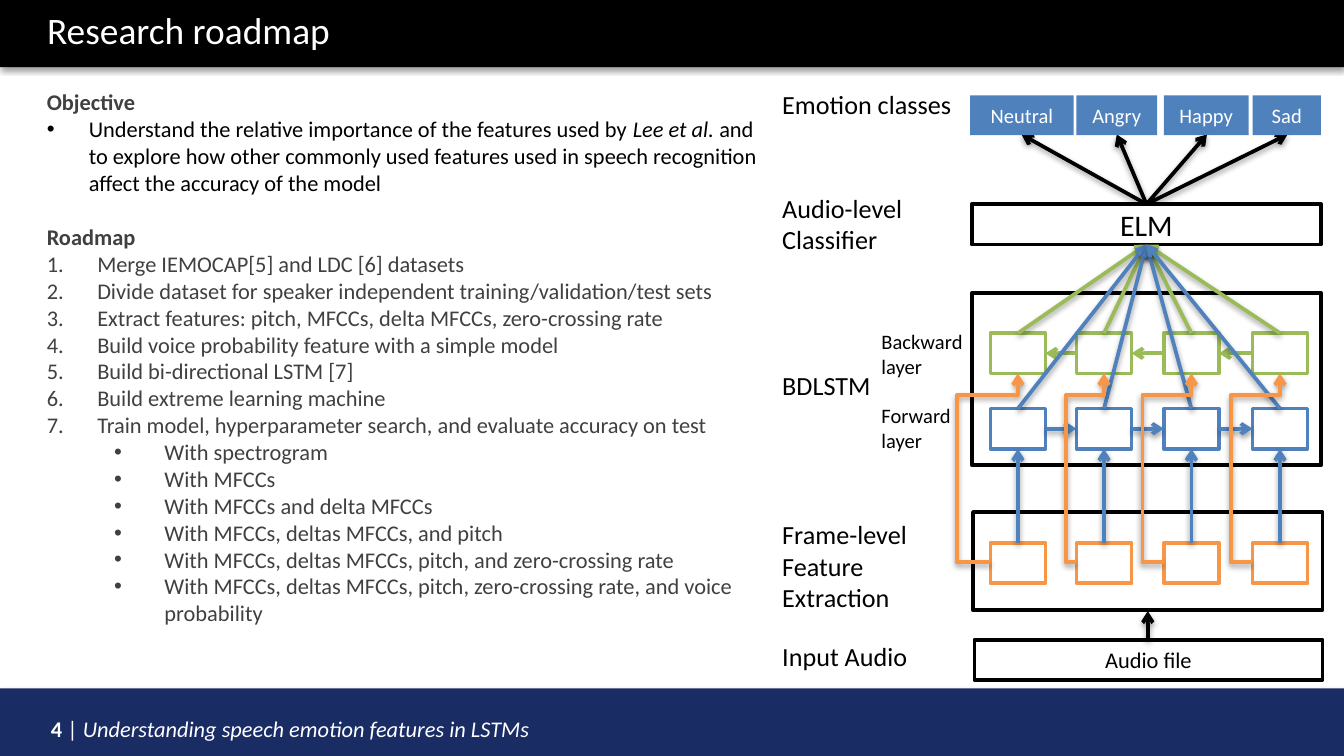
from pptx import Presentation
from pptx.dml.color import RGBColor
from pptx.enum.shapes import MSO_CONNECTOR, MSO_SHAPE
from pptx.enum.text import MSO_ANCHOR, MSO_AUTO_SIZE, PP_ALIGN
from pptx.oxml import parse_xml
from pptx.oxml.ns import nsdecls, qn
from pptx.oxml.xmlchemy import OxmlElement
from pptx.util import Pt

BLACK, WHITE, GRAY, NAVY = "000000", "FFFFFF", "404040", "1A2C64"
BLUE, GREEN, ORANGE = "4F81BD", "9BBB59", "F79646"
SHADOW = (f'<a:outerShdw {nsdecls("a")} blurRad="40000" dist="20000" dir="5400000" '
          'rotWithShape="0"><a:srgbClr val="000000"><a:alpha val="38000"/>'
          '</a:srgbClr></a:outerShdw>')


def write(p, text, color, size, **fmt):
    """Add a formatted run to a paragraph."""
    r = p.add_run()
    r.text = text
    r.font.color.rgb = RGBColor.from_string(color)
    for name, value in {"name": "Calibri", "size": Pt(size), **fmt}.items():
        setattr(r.font, name, value)


def link(x1, y1, x2, y2, color, shadow=True, via=None):
    """Draw an arrow; via gives the x and y of the two bends of an elbow."""
    kind = MSO_CONNECTOR.ELBOW if via else MSO_CONNECTOR.STRAIGHT
    c = s.shapes.add_connector(kind, Pt(x1), Pt(y1), Pt(x2), Pt(y2))
    c.line.width = Pt(2)
    c.line.color.rgb = RGBColor.from_string(color)
    spPr = c._element.spPr
    tail = OxmlElement("a:tailEnd")
    tail.set("type", "arrow")
    spPr.find(qn("a:ln")).append(tail)
    effects = OxmlElement("a:effectLst")
    if shadow:
        effects.append(parse_xml(SHADOW))
    spPr.append(effects)
    if via:
        geom = spPr.find(qn("a:prstGeom"))
        geom.set("prst", "bentConnector4")
        guides = geom.get_or_add_avLst()
        ratios = (via[0] - x1) / (x2 - x1), (via[1] - y1) / (y2 - y1)
        for name, ratio in zip(("adj1", "adj2"), ratios):
            gd = OxmlElement("a:gd")
            gd.set("name", name)
            gd.set("fmla", f"val {round(ratio * 100000)}")
            guides.append(gd)


prs = Presentation()
prs.slide_width, prs.slide_height = Pt(720), Pt(405)
s = prs.slides.add_slide(prs.slide_layouts[5])

# Network geometry
cell_x = [530.6, 576.7, 623.5, 671]
cell_w, cell_h = 29.5, 21.6
backward_y, forward_y, feature_y = 178.5, 218.9, 290.9
elm_x, elm_top, elm_bottom = 614.2, 109.4, 131

# Arrows from the classifier to the classes lie behind the boxes
for x in (689.8, 646.6, 598.3, 547.2):
    link(elm_x, elm_top, x, 72, BLACK)

# Boxes: left, top, width, height, fill, line, text, text size, text colour
boxes = [
    (0, 0, 720, 36, BLACK, None, "", 0, None),
    (0, 368.8, 720, 36.2, NAVY, None, "", 0, None),
    (521.3, 274.3, 187.2, 52.6, WHITE, BLACK, "", 0, None),
    (520.6, 157, 187.2, 92.2, WHITE, BLACK, "", 0, None),
    (520.6, elm_top, 187.2, 21.6, WHITE, BLACK, "ELM", 16, BLACK),
    (522, 342.7, 186.5, 21.6, WHITE, BLACK, "Audio file", 12, BLACK),
]
for y, color in ((forward_y, BLUE), (backward_y, GREEN), (feature_y, ORANGE)):
    boxes += [(x, y, cell_w, cell_h, WHITE, color, "", 0, None) for x in cell_x]
for x, w, text in ((519.8, 55.4, "Neutral"), (576.7, 43.2, "Angry"),
                   (623.5, 45.4, "Happy"), (671, 36.7, "Sad")):
    boxes.append((x, 51.1, w, 21.3, BLUE, None, text, 11, WHITE))

for x, y, w, h, fill, line, text, size, color in boxes:
    sp = s.shapes.add_shape(MSO_SHAPE.RECTANGLE, Pt(x), Pt(y), Pt(w), Pt(h))
    sp.shadow.inherit = False
    sp.fill.solid()
    sp.fill.fore_color.rgb = RGBColor.from_string(fill)
    if line:
        sp.line.width = Pt(2)
        sp.line.color.rgb = RGBColor.from_string(line)
    else:
        sp.line.fill.background()
    if text:
        p = sp.text_frame.paragraphs[0]
        p.alignment = PP_ALIGN.CENTER
        write(p, text, color, size)
    if w == 720:
        sp._element.spPr.find(qn("a:effectLst")).append(parse_xml(SHADOW))

# Arrows of the network
centers = [x + cell_w / 2 for x in cell_x]
for left, right in zip(cell_x, cell_x[1:]):
    link(left + cell_w, forward_y + 10.8, right, forward_y + 10.8, BLUE)
    link(right, backward_y + 10.8, left + cell_w, backward_y + 10.8, GREEN, shadow=False)
for y, color in ((backward_y, GREEN), (forward_y, BLUE)):
    for x in centers:
        link(x, y, elm_x, elm_bottom, color)
for x, center, bend in zip(cell_x, centers, (512.6, 571, 612, 659.5)):
    link(center, feature_y, center, forward_y + cell_h, BLUE)
    link(x, feature_y + 10.4, center, backward_y + cell_h, ORANGE, via=(bend, 211.7))
link(614.9, 342.7, 614.9, 327.4, BLACK)

# Title, above its bar
title = s.shapes.title
s.shapes[-1]._element.addnext(title._element)
title.left, title.top, title.width, title.height = Pt(18), Pt(0), Pt(690), Pt(31.5)
tf = title.text_frame
tf.auto_size = MSO_AUTO_SIZE.NONE
tf.vertical_anchor = MSO_ANCHOR.TOP
tf.paragraphs[0].alignment = PP_ALIGN.LEFT
write(tf.paragraphs[0], "Research roadmap", WHITE, 20)

# Text boxes: left, top, width, height, then paragraphs of (text, colour, size, format) runs
labels = [
    (412, 43.9, 119.5, 24.5, 14, ["Emotion classes"]),
    (412, 99.4, 119.5, 41, 14, ["Audio-level Classifier"]),
    (412, 194.4, 98.6, 24.5, 14, ["BDLSTM"]),
    (412, 274.3, 124.6, 58.3, 14, ["Frame-level Feature", "Extraction"]),
    (412, 339.8, 124.6, 24.5, 14, ["Input Audio"]),
    (465.1, 172.8, 58.3, 33.8, 11, ["Backward layer"]),
    (465.1, 212.4, 67.7, 33.8, 11, ["Forward layer"]),
]
texts = [(x, y, w, h, [[(t, BLACK, size, {})] for t in lines])
         for x, y, w, h, size, lines in labels]
texts.append((20.2, 370.1, 534.2, 30.2, [[
    ("4 ", WHITE, 12, {"bold": True}),
    ("| ", WHITE, 12, {}),
    ("Understanding speech emotion features in LSTMs", WHITE, 12, {"italic": True}),
]]))
steps = [
    "Merge IEMOCAP[5] and LDC [6] datasets",
    "Divide dataset for speaker independent training/validation/test sets",
    "Extract features: pitch, MFCCs, delta MFCCs, zero-crossing rate",
    "Build voice probability feature with a simple model",
    "Build bi-directional LSTM [7]",
    "Build extreme learning machine",
    "Train model, hyperparameter search, and evaluate accuracy on test",
]
tests = [
    "With spectrogram",
    "With MFCCs",
    "With MFCCs and delta MFCCs",
    "With MFCCs, deltas MFCCs, and pitch",
    "With MFCCs, deltas MFCCs, pitch, and zero-crossing rate",
    "With MFCCs, deltas MFCCs, pitch, zero-crossing rate, and voice probability",
]
body = [
    [("Objective", GRAY, 12, {"bold": True})],
    [("Understand the relative importance of the features used by", BLACK, 12, {}),
     (" Lee et al. ", BLACK, 12, {"italic": True}),
     ("and to explore how other commonly used features used in speech recognition "
      "affect the accuracy of the model", BLACK, 12, {})],
    [("Roadmap", GRAY, 12, {"bold": True})],
] + [[(t, GRAY, 12, {})] for t in steps + tests]
texts.append((18, 43.9, 401.8, 342, body))

for x, y, w, h, paragraphs in texts:
    tf = s.shapes.add_textbox(Pt(x), Pt(y), Pt(w), Pt(h)).text_frame
    tf.word_wrap = True
    for i, runs in enumerate(paragraphs):
        p = tf.add_paragraph() if i else tf.paragraphs[0]
        for text, color, size, fmt in runs:
            write(p, text, color, size, **fmt)
    if paragraphs[0][0][0] == "4 ":
        p.line_spacing = Pt(24)

# Bullets and numbers of the body, the last text box
ps = tf.paragraphs
ps[2].space_before = Pt(14.5)
lists = [(ps[1:2], 0, 22.5, 22.5, "•"), (ps[3:10], 0, 27, 27, None), (ps[10:], 1, 63, 27, "•")]
for items, level, margin, hanging, char in lists:
    for p in items:
        p.level = level
        pPr = p._p.get_or_add_pPr()
        pPr.set("marL", str(Pt(margin)))
        pPr.set("indent", str(-Pt(hanging)))
        if char:
            font = OxmlElement("a:buFont")
            font.set("typeface", "Arial")
            pPr.append(font)
        bullet = OxmlElement("a:buChar" if char else "a:buAutoNum")
        bullet.set("char" if char else "type", char or "arabicPeriod")
        pPr.append(bullet)

prs.save("out.pptx")
